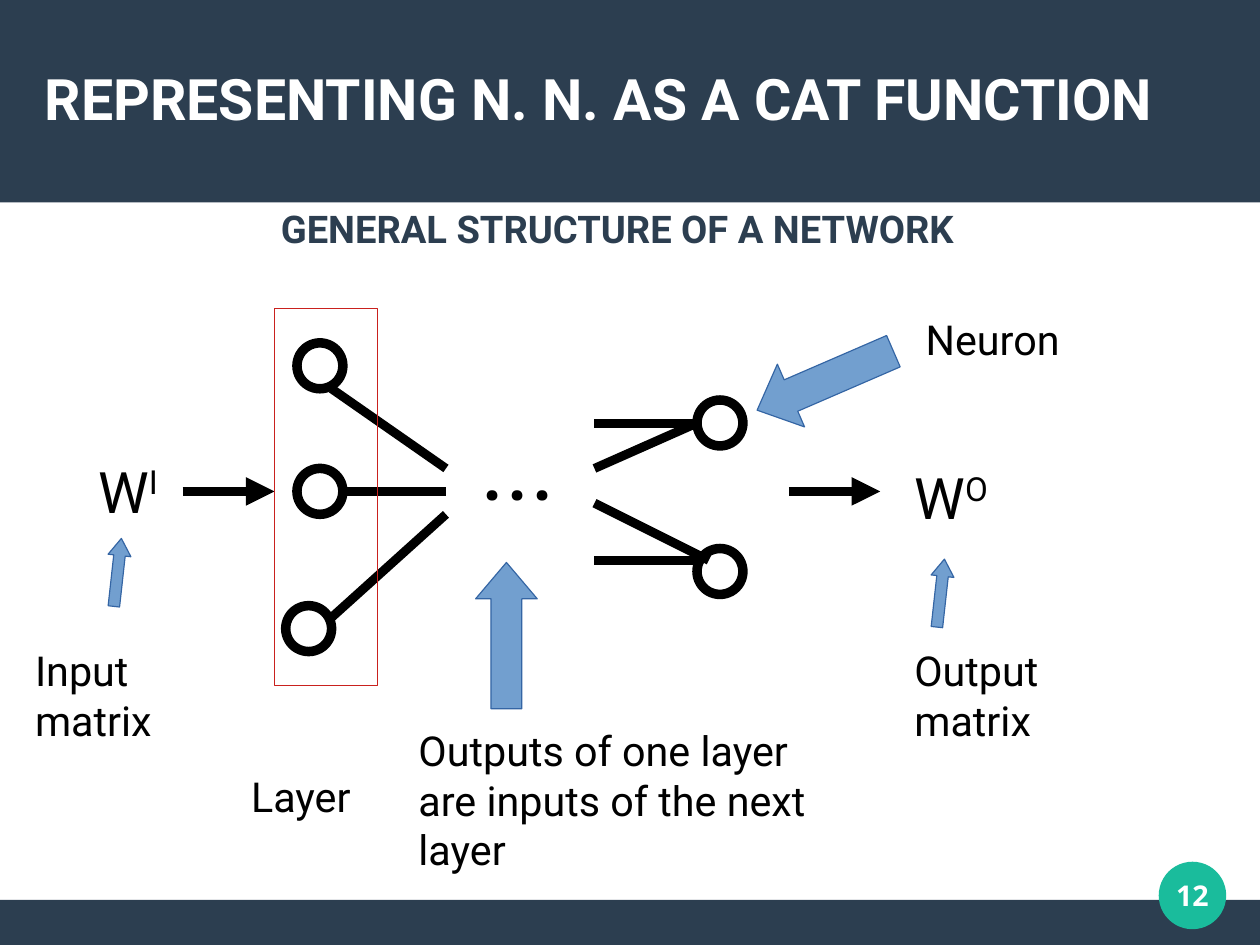
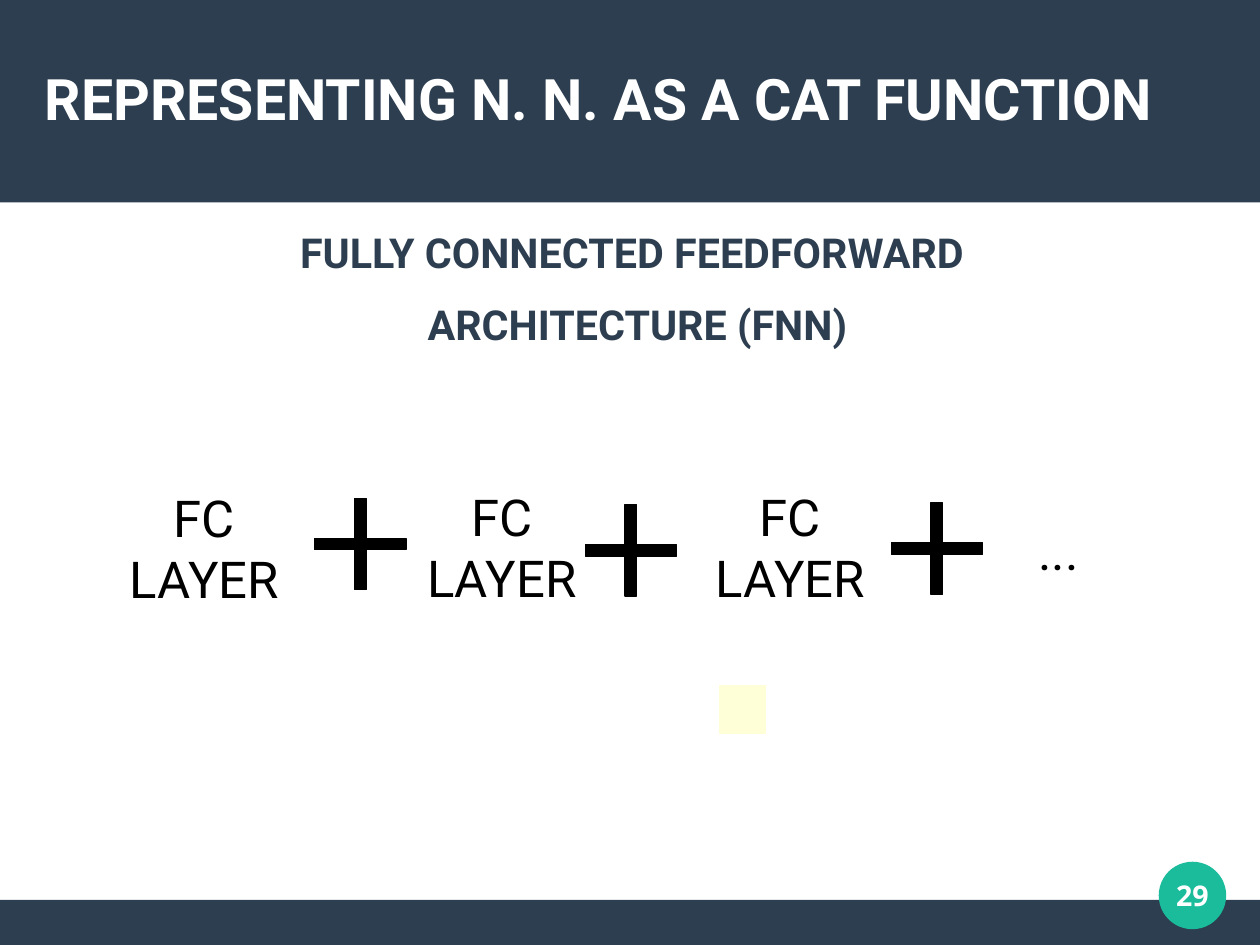
from dataclasses import dataclass

from lxml.etree import SubElement
from pptx import Presentation
from pptx.dml.color import RGBColor
from pptx.enum.shapes import MSO_CONNECTOR, MSO_SHAPE
from pptx.enum.text import MSO_ANCHOR, MSO_AUTO_SIZE, PP_ALIGN
from pptx.oxml.ns import qn
from pptx.util import Cm, Pt


@dataclass(frozen=True)
class Theme:
    font: str = "Roboto"
    number_font: str = "Noto Sans"
    navy: str = "2C3E50"
    green: str = "1ABC9C"
    white: str = "FFFFFF"
    black: str = "000000"
    red: str = "C9211E"
    blue: str = "729FCF"
    blue_edge: str = "3465A4"
    cream: str = "FFFFD7"
    title: float = 36
    subtitle: float = 24
    subtitle_large: float = 26
    label: float = 26
    symbol: float = 36
    layer: float = 32
    dots: float = 60
    number: float = 18
    subtitle_gap: float = 14.1
    hairline: float = 0
    edge: float = 5.67
    bold_line: float = 6


T = Theme()
WIDTH, HEIGHT = 28, 21
TITLE = "REPRESENTING N. N. AS A CAT FUNCTION"

# All places are in centimetres: left, top, width, height, or x, y of a centre.
NEURON_SIZE = 1.02
NEURONS = [(7.11, 8.13), (7.11, 10.92), (6.86, 13.97), (16, 9.4), (16, 12.7)]
LEFT_END, RIGHT_START, RIGHT_END, AXIS = 9.91, 13.21, 15.49, 10.92
EDGES = [
    (7.37, 8.64, LEFT_END, 10.41),
    (7.62, AXIS, LEFT_END, AXIS),
    (7.37, 13.72, LEFT_END, 11.43),
    (RIGHT_START, 10.41, RIGHT_END, 9.4),
    (RIGHT_START, 9.4, RIGHT_END, 9.4),
    (RIGHT_START, 11.18, 15.75, 12.45),
    (RIGHT_START, 12.45, RIGHT_END, 12.45),
]
FLOW_ARROWS = [(4.06, 6.1), (17.53, 19.56)]
LAYER_FRAME = (6.1, 6.86, 2.29, 8.38)
SYMBOLS = [("I", (1.93, 10.01, 1.93, 1.98)), ("O", (20.07, 10.16, 2.26, 1.98))]
NETWORK_DOTS = (10.42, 8.89, 2.21, 3.15)
LABELS = [
    (["Neuron"], (20.32, 6.86, 3.76, 1.5)),
    (["Layer"], (5.33, 17.02, 2.87, 1.5)),
    (["Input", "matrix"], (0.53, 14.22, 3.3, 2.77)),
    (["Output", "matrix"], (20.07, 14.22, 3.58, 2.77)),
    (["Outputs of one layer", "are inputs of the next", "layer"],
     (9.05, 16, 9.73, 4.01)),
]
POINTERS = [  # shape, place, rotation, head length
    (MSO_SHAPE.LEFT_ARROW, (16.69, 7.7, 3.3, 1.52), 336.6, 0.54),
    (MSO_SHAPE.UP_ARROW, (2.36, 11.96, 0.51, 1.52), 6.3, 0.75),
    (MSO_SHAPE.UP_ARROW, (20.65, 12.42, 0.51, 1.52), 6.3, 0.75),
    (MSO_SHAPE.UP_ARROW, (10.57, 12.5, 1.37, 3.25), 0, 0.59),
]

FC_LAYERS = [(2.54, 10.69), (9.15, 10.67), (15.56, 10.67)]
FC_SIZE = (4.01, 3.33)
PLUSES = [(8.01, 12.09), (14.02, 12.23), (20.82, 12.19)]
PLUS_LENGTH, PLUS_ARM = 2.03, 0.26
CHAIN_DOTS = (22.66, 11.43, 1.73, 2.24)
CREAM_SQUARE = (16, 15.24, 1.02, 1.07)


def rgb(color):
    return RGBColor.from_string(color)


def cm(place):
    return [Cm(v) for v in place]


def centred(x, y, width, height):
    return x - width / 2, y - height / 2, width, height


def add_shape(s, kind, place, fill=None, line=None, width=T.hairline):
    sp = s.shapes.add_shape(kind, *cm(place))
    sp.shadow.inherit = False
    if fill:
        sp.fill.solid()
        sp.fill.fore_color.rgb = rgb(fill)
    else:
        sp.fill.background()
    if line:
        sp.line.color.rgb = rgb(line)
        sp.line.width = Pt(width)
    else:
        sp.line.fill.background()
    return sp


def add_line(s, ends, width, arrow=False):
    line = s.shapes.add_connector(MSO_CONNECTOR.STRAIGHT, *cm(ends))
    line.line.color.rgb = rgb(T.black)
    line.line.width = Pt(width)
    if arrow:
        SubElement(line.line._get_or_add_ln(), qn("a:tailEnd"), type="triangle")
    SubElement(line._element.spPr, qn("a:effectLst"))


def add_run(p, text, size, color=T.black, bold=False, font=T.font):
    r = p.add_run()
    r.text = text
    r.font.name, r.font.size, r.font.bold = font, Pt(size), bold
    r.font.color.rgb = rgb(color)
    return r


def clear_margins(tf):
    tf.margin_left = tf.margin_top = tf.margin_right = tf.margin_bottom = 0


def add_text(s, lines, place, size, color=T.black, bold=False,
             align=PP_ALIGN.LEFT, wrap=False, after=0):
    tf = s.shapes.add_textbox(*cm(place)).text_frame
    tf.word_wrap = wrap
    tf.auto_size = MSO_AUTO_SIZE.SHAPE_TO_FIT_TEXT
    for i, text in enumerate(lines):
        p = tf.add_paragraph() if i else tf.paragraphs[0]
        p.alignment = align
        p.space_after = Pt(after)
        add_run(p, text, size, color, bold)
    return tf


def add_heading(s, lines, place, size, color=T.navy, align=PP_ALIGN.CENTER,
                after=T.subtitle_gap):
    tf = add_text(s, lines, place, size, color, True, align, True, after)
    tf.auto_size = MSO_AUTO_SIZE.NONE
    clear_margins(tf)
    return tf


def new_slide(prs, number):
    """Add a slide with the bands, title and page number all slides share."""
    s = prs.slides.add_slide(prs.slide_layouts[6])
    for top, height in ((HEIGHT - 1, 1), (0, 4.5)):
        add_shape(s, MSO_SHAPE.RECTANGLE, (0, top, WIDTH, height), T.navy)
    tf = add_heading(s, [TITLE], (1, 0.84, 26, 2.67), T.title, T.white,
                     PP_ALIGN.LEFT, 0)
    tf.vertical_anchor = MSO_ANCHOR.MIDDLE
    badge = add_shape(s, MSO_SHAPE.OVAL, centred(26.5, 19.9, 1.5, 1.5), T.green)
    tf = badge.text_frame
    clear_margins(tf)
    tf.word_wrap = False
    tf.vertical_anchor = MSO_ANCHOR.MIDDLE
    p = tf.paragraphs[0]
    p.alignment = PP_ALIGN.CENTER
    add_run(p, str(number), T.number, T.white, True, T.number_font)
    return s


def network_slide(prs):
    s = new_slide(prs, 12)
    add_heading(s, ["GENERAL STRUCTURE OF A NETWORK"],
                (3.56, 4.57, 20.32, 1.52), T.subtitle)
    for x, y in NEURONS:
        add_shape(s, MSO_SHAPE.OVAL, centred(x, y, NEURON_SIZE, NEURON_SIZE),
                  line=T.black, width=T.bold_line)
    for ends in EDGES:
        add_line(s, ends, T.edge)
    add_text(s, ["..."], NETWORK_DOTS, T.dots)
    for start, end in FLOW_ARROWS:
        add_line(s, (start, AXIS, end, AXIS), T.bold_line, arrow=True)
    for index, place in SYMBOLS:
        tf = add_text(s, ["W"], place, T.symbol)
        r = add_run(tf.paragraphs[0], index, T.symbol)
        r.font._element.set("baseline", "33000")
    add_shape(s, MSO_SHAPE.RECTANGLE, LAYER_FRAME, line=T.red)
    for kind, place, rotation, head in POINTERS:
        sp = add_shape(s, kind, place, T.blue, T.blue_edge)
        sp.rotation = rotation
        sp.adjustments[0], sp.adjustments[1] = 0.5, head
    for lines, place in LABELS:
        add_text(s, lines, place, T.label)


def architecture_slide(prs):
    s = new_slide(prs, 29)
    add_heading(s, ["FULLY CONNECTED FEEDFORWARD ", "ARCHITECTURE (FNN)"],
                (1.17, 5.05, 26, 3.84), T.subtitle_large)
    add_shape(s, MSO_SHAPE.RECTANGLE, CREAM_SQUARE, T.cream, T.cream)
    chain = [(["FC", "LAYER"], corner + FC_SIZE) for corner in FC_LAYERS]
    for lines, place in chain + [(["..."], CHAIN_DOTS)]:
        add_text(s, lines, place, T.layer, align=PP_ALIGN.CENTER, wrap=True)
    for x, y in PLUSES:
        for rotation in (0, 270):
            bar = add_shape(s, MSO_SHAPE.RECTANGLE,
                            centred(x, y, PLUS_ARM, PLUS_LENGTH),
                            T.black, T.black)
            bar.rotation = rotation


def main():
    prs = Presentation()
    prs.slide_width, prs.slide_height = Cm(WIDTH), Cm(HEIGHT)
    network_slide(prs)
    architecture_slide(prs)
    prs.save("out.pptx")


if __name__ == "__main__":
    main()
